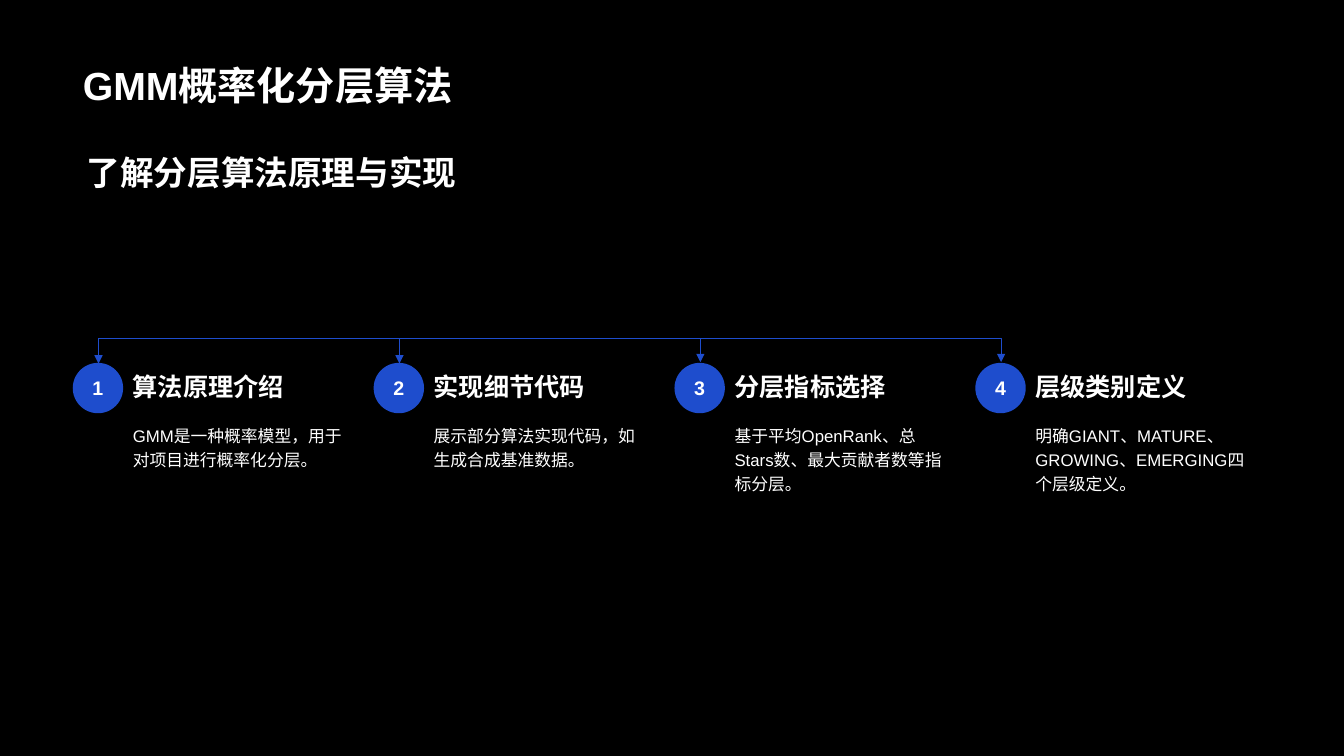
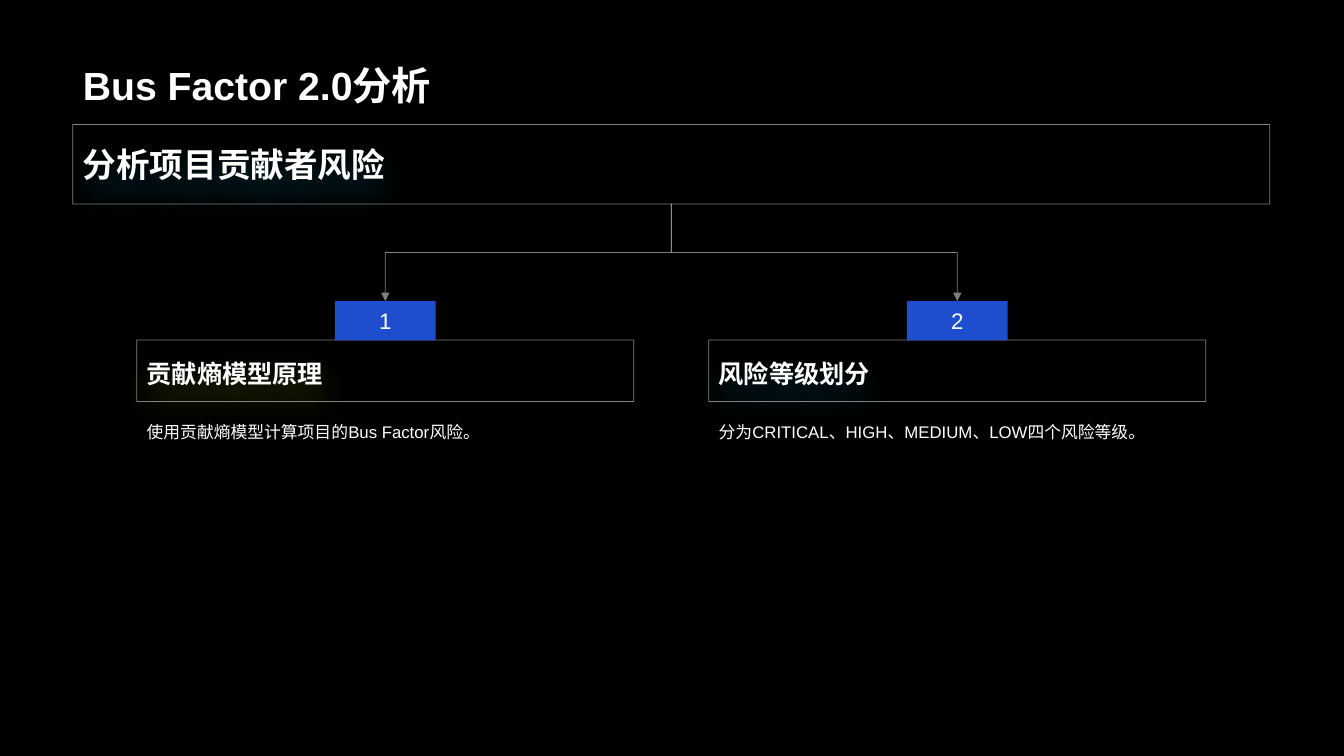
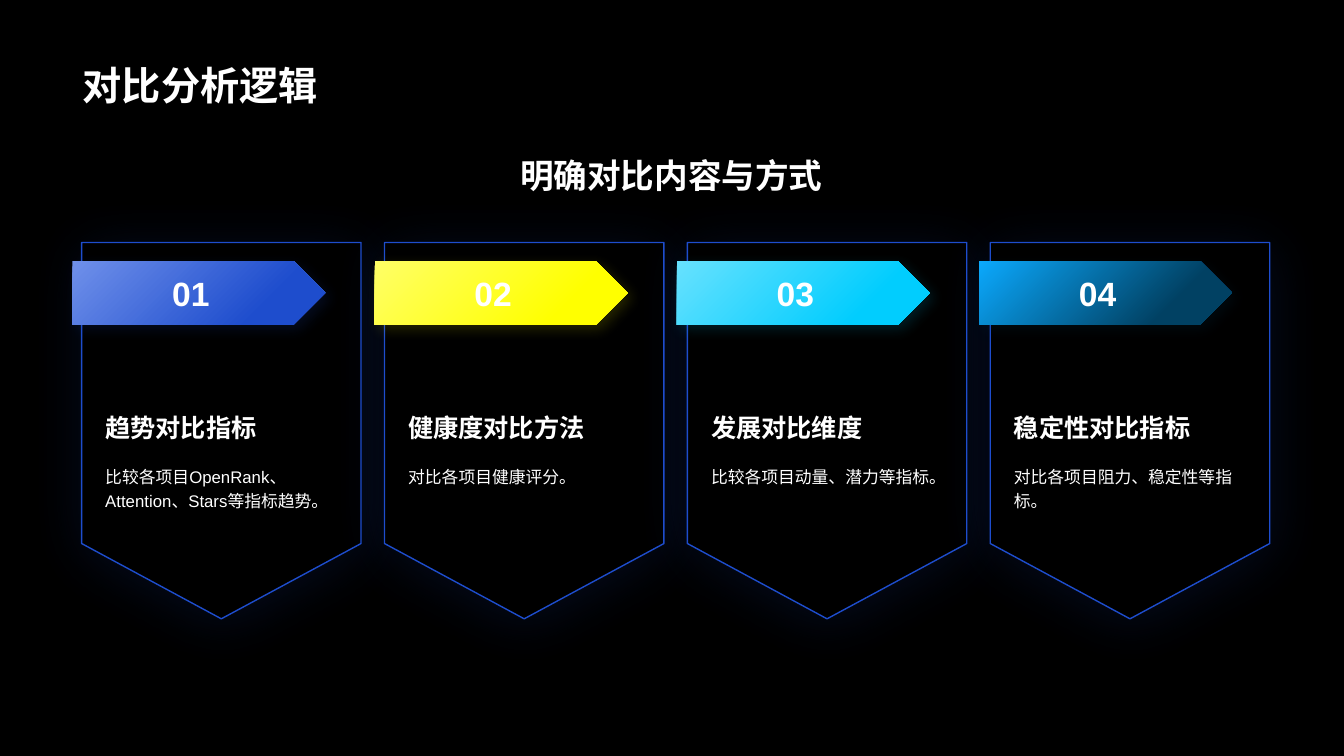
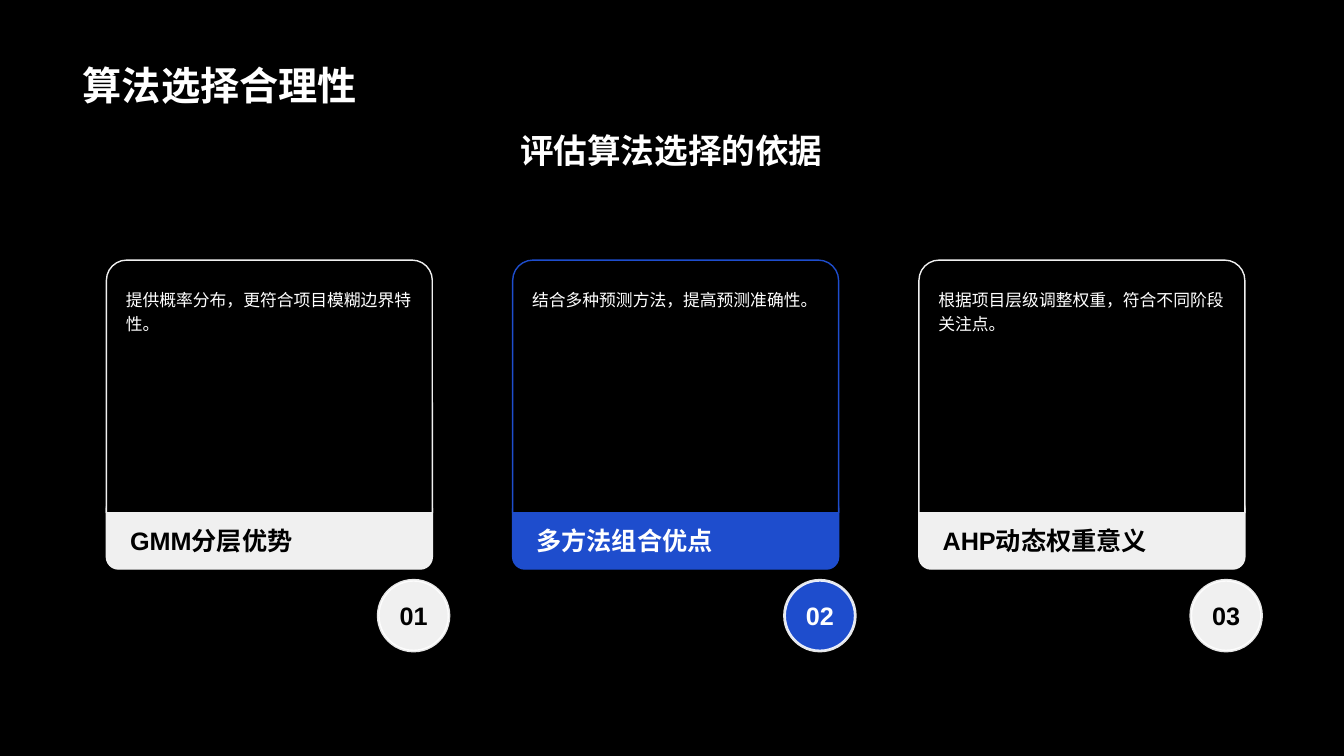
from lxml import etree
from pptx import Presentation
from pptx.dml.color import RGBColor
from pptx.enum.shapes import MSO_CONNECTOR, MSO_SHAPE
from pptx.enum.text import MSO_ANCHOR, PP_ALIGN
from pptx.oxml.ns import qn
from pptx.util import Pt

BLACK = RGBColor(0x00, 0x00, 0x00)
WHITE = RGBColor(0xFF, 0xFF, 0xFF)
BLUE = RGBColor(0x1E, 0x4D, 0xCD)
LIGHT_BLUE = RGBColor(0x6F, 0x90, 0xEA)
YELLOW = RGBColor(0xFF, 0xFF, 0x00)
LIGHT_YELLOW = RGBColor(0xFF, 0xFF, 0x66)
CYAN = RGBColor(0x01, 0xCD, 0xFE)
LIGHT_CYAN = RGBColor(0x67, 0xE1, 0xFE)
SKY = RGBColor(0x0B, 0xA9, 0xFD)
NAVY = RGBColor(0x01, 0x41, 0x63)
GRAY = RGBColor(0xF0, 0xF0, 0xF0)

FONT = "Arial"
LEFT, CONTENT_W = 52, 855
TOP, MIDDLE, BOTTOM = MSO_ANCHOR.TOP, MSO_ANCHOR.MIDDLE, MSO_ANCHOR.BOTTOM
CENTER = PP_ALIGN.CENTER
ELBOW = MSO_CONNECTOR.ELBOW
RECT, ROUND_RECT, OVAL = MSO_SHAPE.RECTANGLE, MSO_SHAPE.ROUNDED_RECTANGLE, MSO_SHAPE.OVAL
ROUND_TOP, PENTAGON = MSO_SHAPE.ROUND_2_SAME_RECTANGLE, MSO_SHAPE.PENTAGON
OFFPAGE = MSO_SHAPE.FLOWCHART_OFFPAGE_CONNECTOR

STEPS = [
    ("算法原理介绍", "GMM是一种概率模型，用于对项目进行概率化分层。"),
    ("实现细节代码", "展示部分算法实现代码，如生成合成基准数据。"),
    ("分层指标选择", "基于平均OpenRank、总Stars数、最大贡献者数等指标分层。"),
    ("层级类别定义", "明确GIANT、MATURE、GROWING、EMERGING四个层级定义。"),
]
RISKS = [
    ("贡献熵模型原理", "使用贡献熵模型计算项目的Bus Factor风险。", YELLOW),
    ("风险等级划分", "分为CRITICAL、HIGH、MEDIUM、LOW四个风险等级。", CYAN),
]
COMPARISONS = [
    ("趋势对比指标", "比较各项目OpenRank、Attention、Stars等指标趋势。", LIGHT_BLUE, BLUE),
    ("健康度对比方法", "对比各项目健康评分。", LIGHT_YELLOW, YELLOW),
    ("发展对比维度", "比较各项目动量、潜力等指标。", LIGHT_CYAN, CYAN),
    ("稳定性对比指标", "对比各项目阻力、稳定性等指标。", SKY, NAVY),
]
REASONS = [
    ("GMM分层优势", "提供概率分布，更符合项目模糊边界特性。", GRAY, BLACK),
    ("多方法组合优点", "结合多种预测方法，提高预测准确性。", BLUE, WHITE),
    ("AHP动态权重意义", "根据项目层级调整权重，符合不同阶段关注点。", GRAY, BLACK),
]


def set_line(line, color, width, alpha=100):
    line.color.rgb = color
    line.width = Pt(width)
    if alpha < 100:
        clr = line.fill._xPr.find(".//" + qn("a:srgbClr"))
        etree.SubElement(clr, qn("a:alpha"), val=str(alpha * 1000))


def add_shape(s, kind, x, y, w, h, fill=None, line=None, width=1, alpha=100, adj=()):
    sp = s.shapes.add_shape(kind, Pt(x), Pt(y), Pt(w), Pt(h))
    sp.shadow.inherit = False
    for i, value in enumerate(adj):
        sp.adjustments[i] = value
    if fill is None:
        sp.fill.background()
    else:
        sp.fill.solid()
        sp.fill.fore_color.rgb = fill
    if line is None:
        sp.line.fill.background()
    else:
        set_line(sp.line, line, width, alpha)
    return sp


def add_shadow(sp, color, alpha, blur, dist, angle=90):
    effects = sp.element.spPr.find(qn("a:effectLst"))
    shadow = etree.SubElement(
        effects, qn("a:outerShdw"), blurRad=str(Pt(blur)), dist=str(Pt(dist)),
        dir=str(angle * 60000), algn="ctr", rotWithShape="0")
    clr = etree.SubElement(shadow, qn("a:srgbClr"), val=str(color))
    etree.SubElement(clr, qn("a:alpha"), val=str(alpha * 1000))


def write(sp, text, size=12, color=WHITE, bold=False, align=PP_ALIGN.LEFT,
          anchor=TOP, spacing=None, wrap=True, insets=None):
    tf = sp.text_frame
    tf.word_wrap = wrap
    tf.vertical_anchor = anchor
    if insets:
        tf.margin_left, tf.margin_top, tf.margin_right, tf.margin_bottom = map(Pt, insets)
    p = tf.paragraphs[0]
    p.alignment = align
    if spacing:
        p.line_spacing = spacing
    r = p.add_run()
    r.text = text
    r.font.name = FONT
    r.font.size = Pt(size)
    r.font.bold = bold
    r.font.color.rgb = color


def add_text(s, text, x, y, w, h, **fmt):
    write(s.shapes.add_textbox(Pt(x), Pt(y), Pt(w), Pt(h)), text, **fmt)


def add_elbow(s, x1, y1, x2, y2, color, alpha=100, turn=90, bend=0.5, ends=("tailEnd",)):
    cx, cy = (x1 + x2) / 2, (y1 + y2) / 2
    side = 1 if turn == 90 else -1
    dx, dy = side * (x2 - x1) / 2, side * (y2 - y1) / 2
    c = s.shapes.add_connector(ELBOW, Pt(cx - dy), Pt(cy + dx), Pt(cx + dy), Pt(cy - dx))
    spPr = c.element.spPr
    spPr.find(qn("a:xfrm")).set("rot", str(turn * 60000))
    guides = spPr.find(qn("a:prstGeom")).find(qn("a:avLst"))
    etree.SubElement(guides, qn("a:gd"), name="adj1", fmla=f"val {round(bend * 100000)}")
    set_line(c.line, color, 0.5, alpha)
    for end in ends:
        etree.SubElement(spPr.find(qn("a:ln")), qn("a:" + end), type="triangle")
    etree.SubElement(spPr, qn("a:effectLst"))


def new_slide(prs, title):
    s = prs.slides.add_slide(prs.slide_layouts[6])
    add_text(s, title, LEFT + 0.1, 10.4, CONTENT_W, 70.6, size=28, bold=True, anchor=BOTTOM)
    return s


def build_steps(prs):
    s = new_slide(prs, "GMM概率化分层算法")
    heading = add_shape(s, ROUND_RECT, LEFT, 89.5, CONTENT_W, 67, adj=[0.145])
    write(heading, "了解分层算法原理与实现", size=24, bold=True, anchor=MIDDLE)
    xs = [LEFT + 214.9 * i for i in range(len(STEPS))]
    for i, (x, (head, body)) in enumerate(zip(xs, STEPS), 1):
        add_text(s, head, x + 35.8, 256.5, 169, 34.5, size=18, bold=True, anchor=MIDDLE,
                 spacing=1.2)
        add_text(s, body, x + 35.8, 297.7, 169, 184, spacing=1.2)
        circle = add_shape(s, OVAL, x, 259.2, 36, 36, fill=BLUE)
        write(circle, str(i), size=14, bold=True, align=CENTER, anchor=MIDDLE, wrap=False)
    for first, last in ((0, 3), (1, 2)):
        add_elbow(s, xs[first] + 18.4, 259.7, xs[last] + 18.4, 258.7, BLUE, bend=18,
                  ends=("headEnd", "tailEnd"))


def build_risks(prs):
    s = new_slide(prs, "Bus Factor 2.0分析")
    heading = add_shape(s, ROUND_RECT, LEFT, 89, CONTENT_W, 56.7, line=WHITE, width=0.5,
                        alpha=50, adj=[0])
    add_shadow(heading, CYAN, 20, 20, 10)
    write(heading, "分析项目贡献者风险", size=24, bold=True, anchor=MIDDLE)
    box_w, badge_w = 355, 72
    centers = []
    for i, (head, body, glow) in enumerate(RISKS):
        x = 97.7 + 408.6 * i
        centers.append(x + box_w / 2)
        box = add_shape(s, RECT, x, 242.9, box_w, 43.9, line=WHITE, width=0.5, alpha=50)
        add_shadow(box, glow, 20, 20, 10)
        write(box, head, size=18, bold=True, anchor=MIDDLE, spacing=1.2)
        add_text(s, body, x, 295, box_w, 185, spacing=1.2)
        badge = add_shape(s, RECT, centers[-1] - badge_w / 2, 215, badge_w, 28.2, fill=BLUE)
        write(badge, str(i + 1), size=16, align=CENTER, anchor=MIDDLE, wrap=False)
    middle = sum(centers) / len(centers)
    for center, turn in zip(centers, (90, 270)):
        add_elbow(s, middle, 145.7, center, 215, WHITE, alpha=50, turn=turn)


def build_comparisons(prs):
    s = new_slide(prs, "对比分析逻辑")
    for i, (head, body, light, dark) in enumerate(COMPARISONS):
        x = 58.3 + 216.35 * i
        card = add_shape(s, OFFPAGE, x, 173.2, 199.6, 268.8, fill=BLACK, line=BLUE)
        add_shadow(card, BLUE, 15, 42, 4)
        add_text(s, head, x + 9.8, 256.5, 181, 63.5, size=18, bold=True, anchor=BOTTOM)
        add_text(s, body, x + 9.8, 327, 181, 94, spacing=1.2)
        banner = add_shape(s, PENTAGON, 51.7 + 215.9 * i, 186.5, 180.6, 45.5)
        banner.fill.gradient()
        banner.fill.gradient_angle = 315
        for stop, position, color in zip(banner.fill.gradient_stops, (0, 0.75), (light, dark)):
            stop.position = position
            stop.color.rgb = color
        add_shadow(banner, dark, 15, 10, 5, 45)
        write(banner, f"{i + 1:02}", size=24, bold=True, align=CENTER, anchor=MIDDLE, wrap=False)
    add_text(s, "明确对比内容与方式", LEFT, 97.6, CONTENT_W, 54.8, size=24, bold=True,
             align=CENTER, anchor=MIDDLE)


def build_reasons(prs):
    s = new_slide(prs, "算法选择合理性")
    add_text(s, "评估算法选择的依据", LEFT, 89.5, CONTENT_W, 63, size=24, bold=True, align=CENTER)
    for i, (head, body, fill, color) in enumerate(REASONS):
        x = 76 + 290.2 * i
        label = add_shape(s, ROUND_RECT, x, 354.5, 232.8, 52, fill=fill, line=fill)
        write(label, head, size=18, color=color, bold=True, anchor=BOTTOM,
              insets=(14.4, 14.4, 14.4, 7.2))
        add_shape(s, ROUND_TOP, x, 185.8, 232.8, 180.5, fill=BLACK, line=fill, adj=[0.08, 0])
        badge = add_shape(s, OVAL, x + 194.2, 414.5, 50.5, 50.5, fill=fill, line=WHITE,
                          width=2, alpha=90)
        write(badge, f"{i + 1:02}", size=18, color=color, bold=True, align=CENTER,
              anchor=MIDDLE, wrap=False)
        add_text(s, body, x + 6.8, 200.5, 221, 158, spacing=1.2)


def main():
    prs = Presentation()
    prs.slide_width, prs.slide_height = Pt(960), Pt(540)
    background = prs.slide_master.background.fill
    background.solid()
    background.fore_color.rgb = BLACK
    for build in (build_steps, build_risks, build_comparisons, build_reasons):
        build(prs)
    prs.save("out.pptx")


if __name__ == "__main__":
    main()
